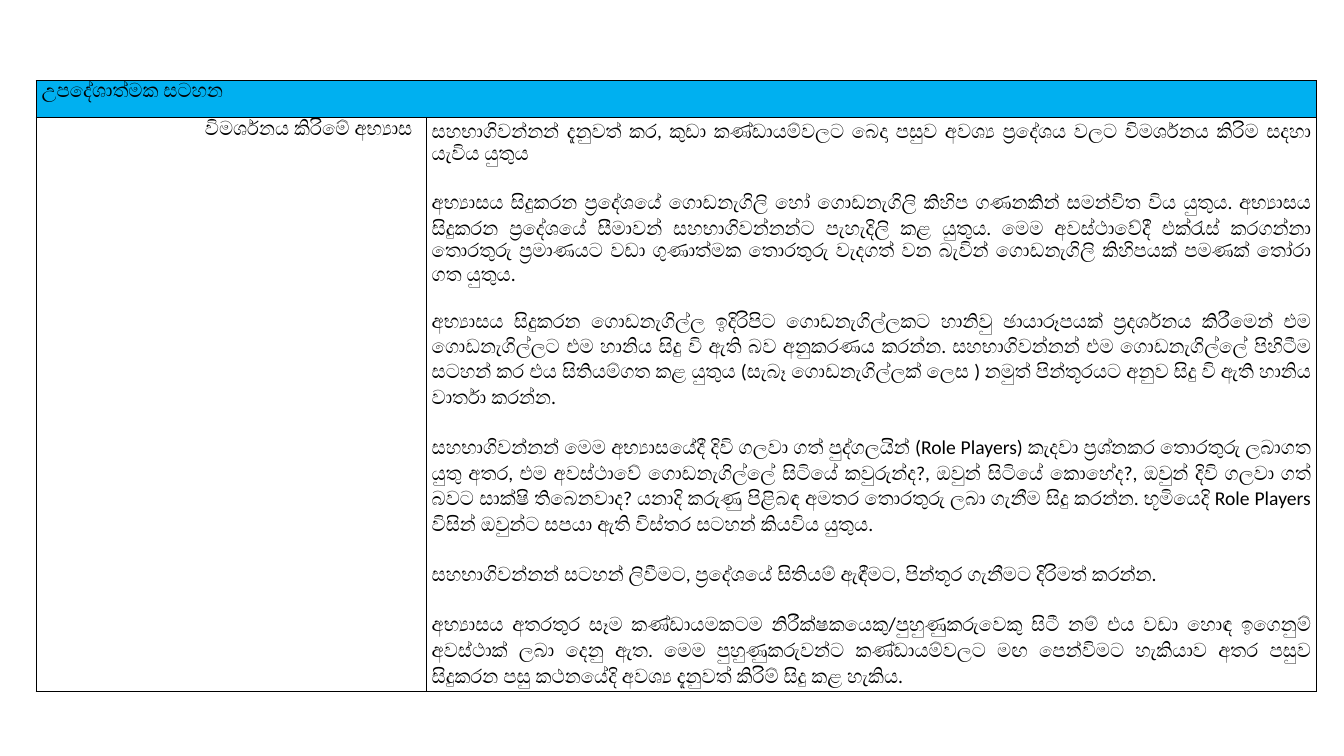
import pptx
import pptx.util
import pptx.dml.color
import pptx.enum.text
import pptx.oxml.ns
from lxml import etree

Pt = pptx.util.Pt
ALIGN = pptx.enum.text.PP_ALIGN

COLORS = {"header": "00B0F0", "body": "FFFFFF", "ink": "000000"}
FONT = "Calibri"
TEXT_SIZE = 14
LINE_SPACING = 1.07
PARAGRAPH_GAP = 17.8
INSET = 3.86
EXERCISE_INSET = 10

JOINER = chr(0x200D)
CONJUNCTS = [("්", "ය"), ("ප්", "ර")]

TITLE = ["උපදේශාත්මක සටහන"]
EXERCISE = ["විමර්ශනය කිරිමේ අභ්යාස"]
INSTRUCTIONS = [
    "සහභාගිවන්නන් දැනුවත් කර, කුඩා කණ්ඩායම්වලට බෙදා පසුව අවශ්ය ප්රදේශය වලට විමර්ශනය කිරිම සදහා යැවිය යුතුය",
    "අභ්යාසය සිදුකරන ප්රදේශයේ ගොඩනැගිලි හෝ ගොඩනැගිලි කිහිප ගණනකින් සමන්විත විය යුතුය. "
    "අභ්යාසය සිදුකරන ප්රදේශයේ සීමාවන් සහභාගිවන්නන්ට පැහැදිලි කළ යුතුය. "
    "මෙම අවස්ථාවේදී එක්රැස් කරගන්නා තොරතුරු ප්රමාණයට වඩා ගුණාත්මක තොරතුරු වැදගත් වන බැවින් "
    "ගොඩනැගිලි කිහිපයක් පමණක් තෝරා ගත යුතුය.",
    "අභ්යාසය සිදුකරන ගොඩනැගිල්ල ඉදිරිපිට ගොඩනැගිල්ලකට හානිවු ඡායාරූපයක් ප්රදර්ශනය කිරීමෙන් "
    "එම ගොඩනැගිල්ලට එම හානිය සිදු වි ඇති බව අනුකරණය කරන්න. "
    "සහභාගිවන්නන් එම ගොඩනැගිල්ලේ පිහිටීම සටහන් කර එය සිතියම්ගත කළ යුතුය "
    "(සැබෑ ගොඩනැගිල්ලක් ලෙස ) නමුත් පින්තූරයට අනුව සිදු වි ඇති හානිය වාර්තා කරන්න.",
    "සහභාගිවන්නන් මෙම අභ්යාසයේදී දිවි ගලවා ගත් පුද්ගලයින් (Role Players) කැදවා ප්රශ්නකර "
    "තොරතුරු ලබාගත යුතු අතර, එම අවස්ථාවේ ගොඩනැගිල්ලේ සිටියේ කවුරුන්ද?, ඔවුන් සිටියේ කොහේද?, "
    "ඔවුන් දිවි ගලවා ගත් බවට සාක්ෂි තිබෙනවාද? යනාදි කරුණු පිළිබඳ අමතර තොරතුරු ලබා ගැනීම සිදු කරන්න. "
    "භූමියෙදි Role Players විසින් ඔවුන්ට සපයා ඇති විස්තර සටහන් කියවිය යුතුය.",
    "සහභාගිවන්නන් සටහන් ලිවීමට, ප්රදේශයේ සිතියම් ඇඳීමට, පින්තූර ගැනීමට දිරිමත් කරන්න.",
    "අභ්යාසය අතරතුර සෑම කණ්ඩායමකටම නිරීක්ෂකයෙකු/පුහුණුකරුවෙකු සිටී නම් එය වඩා හොඳ ඉගෙනුම් "
    "අවස්ථාක් ලබා දෙනු ඇත. මෙම පුහුණුකරුවන්ට කණ්ඩායම්වලට මඟ පෙන්විමට හැකියාව අතර පසුව "
    "සිදුකරන පසු කථනයේදි අවශ්ය දැනුවත් කිරිම් සිදු කළ හැකිය.",
]

CELLS = [
    (0, 0, TITLE, ALIGN.LEFT, "header", INSET),
    (0, 1, [], ALIGN.LEFT, "header", INSET),
    (1, 0, EXERCISE, ALIGN.RIGHT, "body", EXERCISE_INSET),
    (1, 1, INSTRUCTIONS, ALIGN.JUSTIFY, "body", INSET),
]
COLUMN_WIDTHS = [278.6, 635.8]
ROW_HEIGHTS = [26.6, 409.5]
TABLE_LEFT, TABLE_TOP = 25.9, 57.6


def color(name):
    return pptx.dml.color.RGBColor.from_string(COLORS[name])


def join_conjuncts(text):
    for first, second in CONJUNCTS:
        text = text.replace(first + second, first + JOINER + second)
    return text


def add_borders(cell):
    qn = pptx.oxml.ns.qn
    properties = cell._tc.get_or_add_tcPr()
    for side in ("a:lnL", "a:lnR", "a:lnT", "a:lnB"):
        line = etree.SubElement(properties, qn(side), w=str(Pt(1)))
        fill = etree.SubElement(line, qn("a:solidFill"))
        etree.SubElement(fill, qn("a:srgbClr"), val=COLORS["ink"])


def write_paragraphs(cell, texts, alignment):
    frame = cell.text_frame
    for index, text in enumerate(texts):
        para = frame.add_paragraph() if index else frame.paragraphs[0]
        para.alignment = alignment
        para.line_spacing = LINE_SPACING
        para.space_before = Pt(PARAGRAPH_GAP if index else 0)
        span = para.add_run()
        span.text = join_conjuncts(text)
        span.font.name = FONT
        span.font.size = Pt(TEXT_SIZE)
        span.font.bold = False
        span.font.color.rgb = color("ink")


deck = pptx.Presentation()
deck.slide_width, deck.slide_height = Pt(960), Pt(540)
page = deck.slides.add_slide(deck.slide_layouts[6])

table = page.shapes.add_table(
    len(ROW_HEIGHTS), len(COLUMN_WIDTHS), Pt(TABLE_LEFT), Pt(TABLE_TOP),
    Pt(sum(COLUMN_WIDTHS)), Pt(sum(ROW_HEIGHTS))).table
for column, width in zip(table.columns, COLUMN_WIDTHS):
    column.width = Pt(width)
for row, height in zip(table.rows, ROW_HEIGHTS):
    row.height = Pt(height)
table.cell(0, 0).merge(table.cell(0, 1))

for row, column, texts, alignment, fill, right_inset in CELLS:
    cell = table.cell(row, column)
    add_borders(cell)
    cell.fill.solid()
    cell.fill.fore_color.rgb = color(fill)
    cell.margin_left, cell.margin_right = Pt(INSET), Pt(right_inset)
    cell.margin_top = cell.margin_bottom = Pt(0)
    write_paragraphs(cell, texts, alignment)

deck.save("out.pptx")
